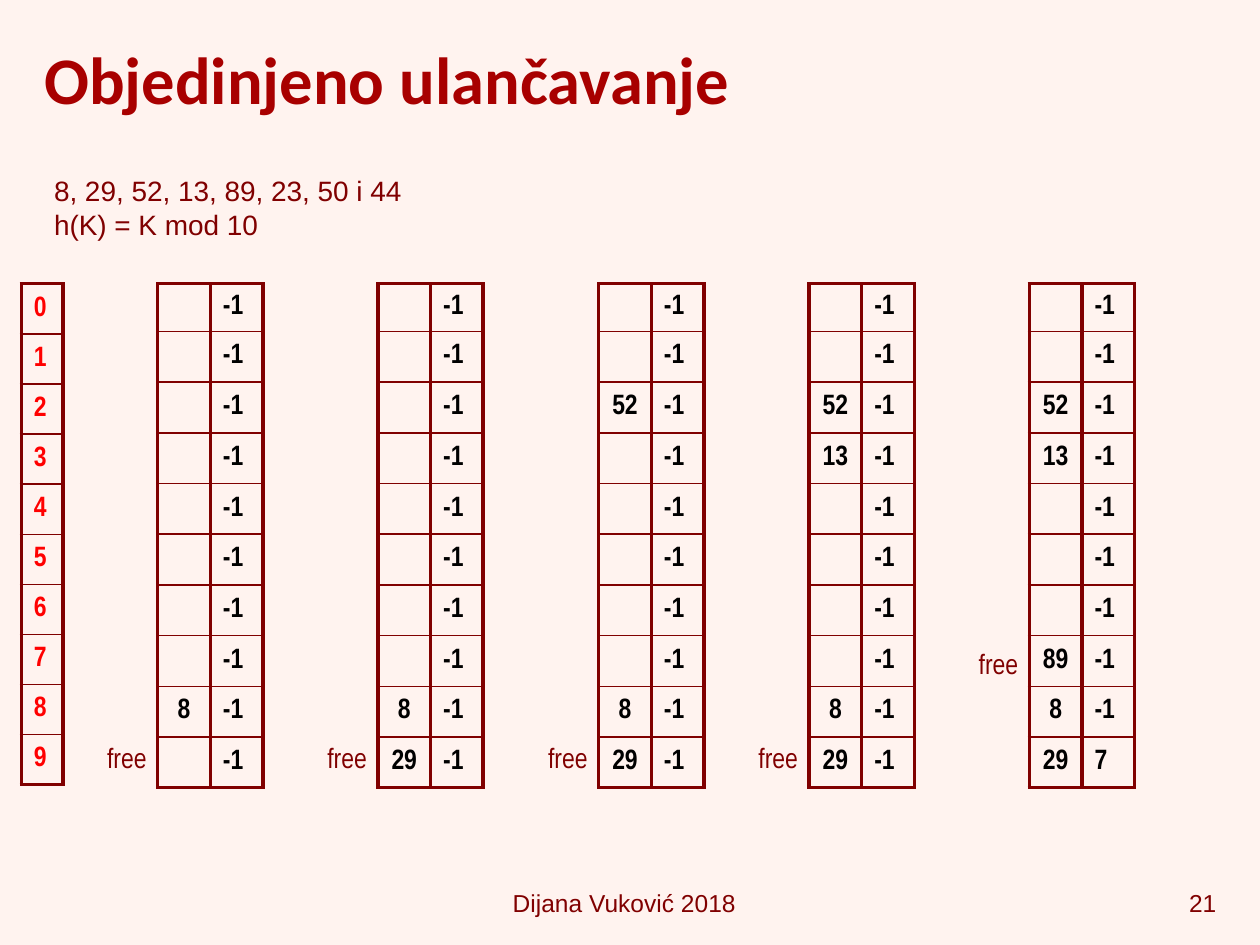
"""Build the slide on coalesced chaining, with a hash table after each insertion."""
from dataclasses import dataclass
from lxml import etree
from pptx import Presentation, util as u
from pptx.dml import color
from pptx.enum import text
from pptx.oxml import ns

MAROON, TITLE_RED, INDEX_RED, BLACK, CREAM = "800000", "A80000", "FF0000", "000000", "FFF3EF"
SLOTS = 10
TABLE_TOP, TABLE_HEIGHT, FIRST_ROW = 5.72, 10.16, 0.96
KEY_ROWS = [FIRST_ROW] + [(TABLE_HEIGHT - FIRST_ROW) / (SLOTS - 1)] * (SLOTS - 1)
INDEX_ROWS = [1.01] * SLOTS
LEFT, CENTER, RIGHT = text.PP_ALIGN.LEFT, text.PP_ALIGN.CENTER, text.PP_ALIGN.RIGHT


@dataclass(frozen=True)
class Style:
    size: float
    font: str
    color: str
    bold: bool = False


@dataclass(frozen=True)
class Stage:
    left: float
    keys: dict[int, str]
    links: dict[int, str]
    free_top: float = 14.81


TITLE = Style(38, "Calibri", TITLE_RED, True)
BODY = Style(16, "Arial", MAROON)
FOOTER = Style(14, "Arial", MAROON)
FREE = Style(16, "Arial Narrow", MAROON)
INDEX = Style(16, "Arial Narrow", INDEX_RED, True)
ENTRY = Style(16, "Arial Narrow", BLACK, True)

STAGES = [
    Stage(3.18, {8: "8"}, {}),
    Stage(7.62, {8: "8", 9: "29"}, {}),
    Stage(12.07, {2: "52", 8: "8", 9: "29"}, {}),
    Stage(16.31, {2: "52", 3: "13", 8: "8", 9: "29"}, {}),
    Stage(20.75, {2: "52", 3: "13", 7: "89", 8: "8", 9: "29"}, {9: "7"}, 12.9),
]


def rgb(hex_color: str) -> color.RGBColor:
    return color.RGBColor.from_string(hex_color)


def add_run(paragraph, words: str, style: Style, align=LEFT) -> None:
    paragraph.alignment = align
    run = paragraph.add_run()
    run.text = words
    run.font.size = u.Pt(style.size)
    run.font.name = style.font
    run.font.bold = style.bold
    run.font.color.rgb = rgb(style.color)


def add_label(slide, box: tuple, lines: list[str], style: Style, align=LEFT,
              anchor=text.MSO_ANCHOR.TOP, wrap: bool = True) -> None:
    frame = slide.shapes.add_textbox(*map(u.Cm, box)).text_frame
    frame.word_wrap = wrap
    frame.vertical_anchor = anchor
    for number, line in enumerate(lines):
        paragraph = frame.add_paragraph() if number else frame.paragraphs[0]
        add_run(paragraph, line, style, align)


def set_border(cell, side: str, width: float) -> None:
    line = etree.SubElement(cell._tc.get_or_add_tcPr(), ns.qn(f"a:ln{side}"), w=str(u.Pt(width)))
    fill = etree.SubElement(line, ns.qn("a:solidFill"))
    etree.SubElement(fill, ns.qn("a:srgbClr"), val=MAROON)


def add_slots(slide, left: float, column_width: float, heights: list[float],
              columns: list[list[str]], aligns: list, style: Style) -> None:
    frame = slide.shapes.add_table(SLOTS, len(columns), u.Cm(left), u.Cm(TABLE_TOP),
                                   u.Cm(column_width * len(columns)), u.Cm(sum(heights)))
    grid = frame.table
    grid.first_row = grid.horz_banding = False
    for column in grid.columns:
        column.width = u.Cm(column_width)
    for slot, height in enumerate(heights):
        grid.rows[slot].height = u.Cm(height)
        for number, (entries, align) in enumerate(zip(columns, aligns)):
            cell = grid.cell(slot, number)
            cell.margin_top = cell.margin_bottom = u.Cm(0.05)
            cell.vertical_anchor = text.MSO_ANCHOR.MIDDLE
            set_border(cell, "L", 2.25)
            set_border(cell, "R", 2.25)
            set_border(cell, "T", 2.25 if slot == 0 else 1)
            set_border(cell, "B", 2.25 if slot == SLOTS - 1 else 1)
            cell.fill.background()
            if entries[slot]:
                paragraph = cell.text_frame.paragraphs[0]
                paragraph.space_before = u.Pt(3.2)
                add_run(paragraph, entries[slot], style, align)


def add_stage(slide, stage: Stage) -> None:
    keys = [stage.keys.get(slot, "") for slot in range(SLOTS)]
    links = [stage.links.get(slot, "-1") for slot in range(SLOTS)]
    add_slots(slide, stage.left, 1.06, KEY_ROWS, [keys, links], [CENTER, LEFT], ENTRY)
    add_label(slide, (stage.left - 1.27, stage.free_top, 1.35, 0.94), ["free"], FREE, wrap=False)


def main() -> None:
    deck = Presentation()
    deck.slide_width, deck.slide_height = u.Cm(25.4), u.Cm(19.05)
    slide = deck.slides.add_slide(deck.slide_layouts[6])
    slide.background.fill.solid()
    slide.background.fill.fore_color.rgb = rgb(CREAM)

    add_label(slide, (0.64, 0.2, 24.13, 2.74), ["Objedinjeno ulančavanje"], TITLE,
              anchor=text.MSO_ANCHOR.MIDDLE)
    add_label(slide, (0.84, 3.38, 12.7, 1.75),
              ["8, 29, 52, 13, 89, 23, 50 i 44", "h(K) = K mod 10"], BODY)
    add_slots(slide, 0.43, 0.84, INDEX_ROWS, [[str(slot) for slot in range(SLOTS)]], [LEFT], INDEX)
    for stage in STAGES:
        add_stage(slide, stage)
    add_label(slide, (9.5, 17.78, 6.17, 0.84), ["Dijana Vuković 2018"], FOOTER, CENTER)
    add_label(slide, (19.69, 17.78, 5.08, 0.84), ["21"], FOOTER, RIGHT)
    deck.save("out.pptx")


if __name__ == "__main__":
    main()
